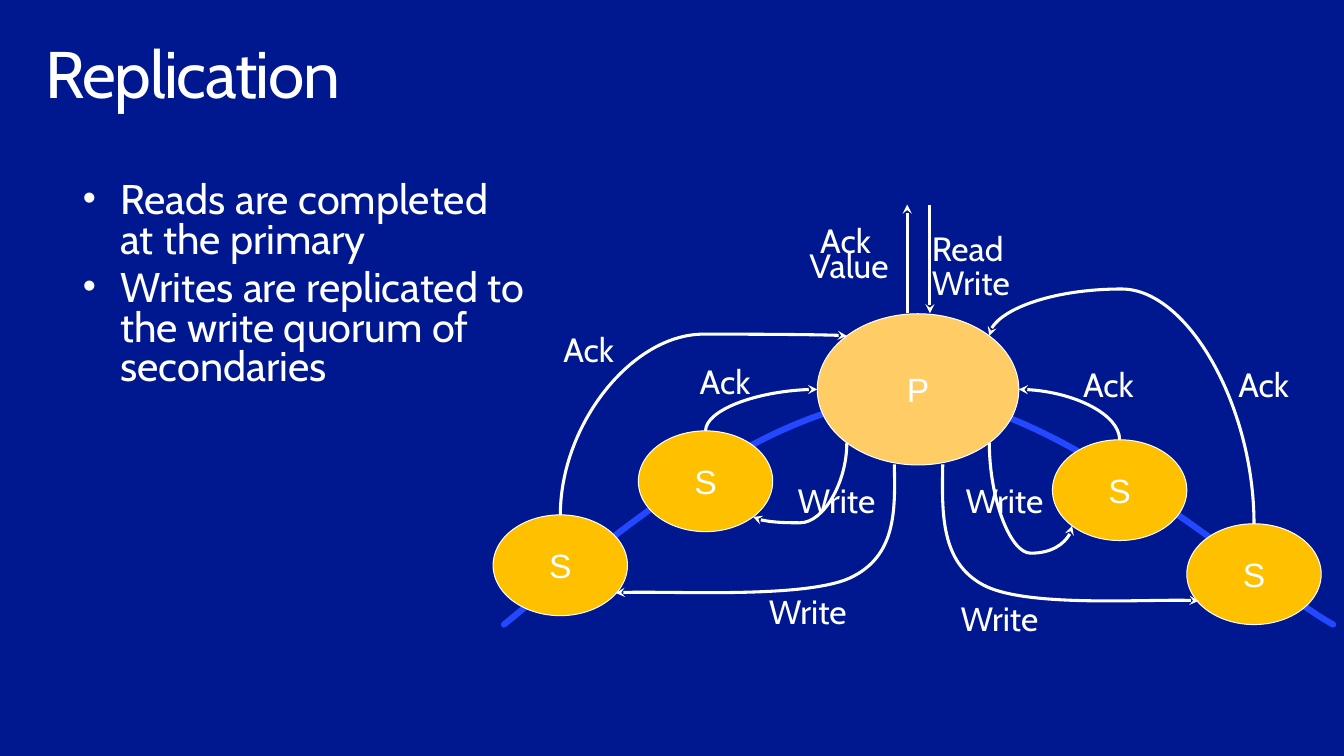
from dataclasses import dataclass
from math import cos, pi, sin

from lxml.etree import SubElement
from pptx import Presentation
from pptx.dml.color import RGBColor
from pptx.enum.shapes import MSO_CONNECTOR as Link, MSO_SHAPE as Preset
from pptx.enum.text import MSO_ANCHOR as Anchor, MSO_AUTO_SIZE as AutoSize, PP_ALIGN as Align
from pptx.oxml.ns import qn
from pptx.util import Inches, Pt

COLORS = {
    "background": "00188F",
    "ring": "2348FF",
    "primary": "FFCC66",
    "secondary": "FFC000",
    "white": "FFFFFF",
}
# Connection sites of an ellipse, counted anticlockwise from the top
TOP, TOP_LEFT, LEFT, BOTTOM_LEFT, BOTTOM, BOTTOM_RIGHT, RIGHT, TOP_RIGHT = range(8)


def color(name):
    return RGBColor.from_string(COLORS[name])


@dataclass
class Node:
    shape: object
    x: float
    y: float
    width: float
    height: float

    def site(self, index):
        """Return the point of a connection site on the ellipse, in inches."""
        angle = index * pi / 4
        return self.x - self.width / 2 * sin(angle), self.y - self.height / 2 * cos(angle)


class DiagramPage:
    """Holds the style and the current slide."""

    font = "Cabin"
    node_font = "Arial"
    label_size = 24.5
    arrow_width = 2.25

    def __init__(self, deck):
        self.page = deck.slides.add_slide(deck.slide_layouts[6])
        self.page.background.fill.solid()
        self.page.background.fill.fore_color.rgb = color("background")

    def format_text(self, para, size, font=None):
        for span in para.runs:
            span.font.size = Pt(size)
            span.font.name = font or self.font
            span.font.color.rgb = color("white")

    def text(self, content, left, top, width, height, size, margins, wrap=True):
        box = self.page.shapes.add_textbox(Inches(left), Inches(top), Inches(width), Inches(height))
        frame = box.text_frame
        frame.word_wrap = wrap
        frame.margin_left = frame.margin_right = Inches(margins[0])
        frame.margin_top = frame.margin_bottom = Inches(margins[1])
        frame.text = content
        for para in frame.paragraphs:
            self.format_text(para, size)
        return frame

    def title(self, content):
        frame = self.text(content, 0.3, 0.32, 13, 1, 48, (0.16, 0.1))
        para = frame.paragraphs[0]
        para.line_spacing = 0.9
        para.runs[0].font._element.set("spc", "-100")

    def bullets(self, items):
        frame = self.text("\n".join(items), 0.68, 1.75, 5.33, 2.33, 30.2, (0.16, 0.1))
        for para in frame.paragraphs:
            para.line_spacing = 0.8
            para.space_before = Pt(6)
            props = para._p.get_or_add_pPr()
            props.set("marL", str(Inches(0.38)))
            props.set("indent", str(-Inches(0.38)))
            SubElement(props, qn("a:buSzPct"), val="90000")
            SubElement(props, qn("a:buFont"), typeface="Arial")
            SubElement(props, qn("a:buChar"), char="•")

    def label(self, content, left, top, width):
        frame = self.text(content, left, top, width, 0.55, self.label_size, (0.14, 0.07), wrap=False)
        frame.auto_size = AutoSize.SHAPE_TO_FIT_TEXT

    def node(self, letter, x, y, width, height, fill):
        shape = self.page.shapes.add_shape(
            Preset.OVAL, Inches(x - width / 2), Inches(y - height / 2), Inches(width), Inches(height))
        shape.shadow.inherit = False
        shape.fill.solid()
        shape.fill.fore_color.rgb = color(fill)
        shape.line.color.rgb = color("white")
        shape.line.width = Pt(0.75)
        frame = shape.text_frame
        frame.word_wrap = False
        frame.vertical_anchor = Anchor.MIDDLE
        frame.margin_left = frame.margin_right = Inches(0.14)
        frame.margin_top = frame.margin_bottom = Inches(0.07)
        frame.text = letter
        frame.paragraphs[0].alignment = Align.CENTER
        self.format_text(frame.paragraphs[0], self.label_size, self.node_font)
        return Node(shape, x, y, width, height)

    def style_line(self, shape, line_color="white", width=arrow_width, arrow=True):
        shape.line.color.rgb = color(line_color)
        shape.line.width = Pt(width)
        outline = shape._element.spPr.find(qn("a:ln"))
        if arrow:
            SubElement(outline, qn("a:tailEnd"), type="stealth")
        else:
            outline.set("cap", "rnd")

    def connector(self, kind, start, end):
        link = self.page.shapes.add_connector(kind, *(Inches(value) for value in (*start, *end)))
        self.style_line(link)
        SubElement(link._element.spPr, qn("a:effectLst"))
        return link

    def curved_link(self, source, source_site, target, target_site, bend=None):
        """Glue a curve that leaves its source vertically; bend places a middle section."""
        x1, y1 = source.site(source_site)
        x2, y2 = target.site(target_site)
        mid_x, mid_y = (x1 + x2) / 2, (y1 + y2) / 2
        half_width, half_height = abs(y2 - y1) / 2, abs(x2 - x1) / 2
        link = self.connector(
            Link.CURVE,
            (mid_x - half_width, mid_y - half_height), (mid_x + half_width, mid_y + half_height))
        props = link._element.spPr
        frame = props.find(qn("a:xfrm"))
        frame.set("rot", str((270 if x2 > x1 else 90) * 60000))
        if (x2 > x1) == (y2 > y1):
            frame.set("flipH", "1")
        geometry = props.find(qn("a:prstGeom"))
        if bend is None:
            geometry.set("prst", "curvedConnector2")
        else:
            SubElement(geometry.find(qn("a:avLst")), qn("a:gd"),
                       name="adj1", fmla=f"val {round(bend * 100000)}")
        glue = link._element.find(".//" + qn("p:cNvCxnSpPr"))
        for tag, node, site in (("a:stCxn", source, source_site), ("a:endCxn", target, target_site)):
            SubElement(glue, qn(tag), id=str(node.shape.shape_id), idx=str(site))

    def bezier(self, points, **style):
        """Draw an open path of cubic curves: a start, then three points per curve."""
        start, *rest = [(Inches(x), Inches(y)) for x, y in points]
        builder = self.page.shapes.build_freeform(*start)
        builder.add_line_segments(rest, close=False)
        shape = builder.convert_to_shape()
        shape.shadow.inherit = False
        shape.fill.background()
        outline = shape._element.find(".//" + qn("a:path"))
        segments = outline.findall(qn("a:lnTo"))
        for first in range(0, len(segments), 3):
            curve = SubElement(outline, qn("a:cubicBezTo"))
            for segment in segments[first:first + 3]:
                curve.append(segment[0])
                outline.remove(segment)
        self.style_line(shape, **style)


def main():
    deck = Presentation()
    deck.slide_width, deck.slide_height = Inches(13.6), Inches(7.65)
    page = DiagramPage(deck)
    page.title("Replication")
    page.bullets(["Reads are completed \vat the primary",
                  "Writes are replicated to \vthe write quorum of secondaries"])

    page.bezier([(5.1, 6.32), (6.5, 5.17), (7.9, 4.02), (9.29, 4.02),
                 (10.69, 4.02), (12.79, 5.94), (13.49, 6.32)],
                line_color="ring", width=4.5, arrow=False)
    primary = page.node("P", 9.29, 3.94, 2.04, 1.53, "primary")
    outer_left, inner_left, inner_right, outer_right = [
        page.node("S", x, y, 1.36, 1.02, "secondary")
        for x, y in ((5.67, 5.72), (7.14, 4.87), (11.33, 4.96), (12.69, 5.81))]

    page.curved_link(inner_left, TOP, primary, LEFT)
    page.curved_link(inner_right, TOP, primary, RIGHT)
    page.curved_link(outer_left, TOP, primary, TOP_LEFT, 1.01)
    page.curved_link(outer_right, TOP, primary, TOP_RIGHT, 1.25)
    page.curved_link(primary, BOTTOM_LEFT, inner_left, BOTTOM_RIGHT, 1.08)
    page.curved_link(primary, BOTTOM_RIGHT, inner_right, BOTTOM_LEFT, 1.33)
    page.bezier([(9.05, 4.7), (9.06, 5.17), (9.07, 5.63), (8.6, 5.85),
                 (8.13, 6.06), (6.63, 5.97), (6.23, 6)])
    page.bezier([(9.54, 4.7), (9.53, 5.2), (9.52, 5.69), (9.95, 5.92),
                 (10.38, 6.15), (11.76, 6.05), (12.13, 6.08)])
    page.connector(Link.STRAIGHT, (9.41, 2.07), (9.41, 3.17))
    page.connector(Link.STRAIGHT, (9.18, 3.17), (9.18, 2.07))

    labels = {
        ("Write", 1.09): [(9.58, 5.98), (7.64, 5.91), (9.63, 4.79), (7.93, 4.79), (9.29, 2.58)],
        ("Ack", 0.82): [(10.82, 3.61), (6.94, 3.58), (12.39, 3.61), (5.56, 3.26), (8.16, 2.15)],
        ("Read", 1.03): [(9.29, 2.24)],
        ("Value", 1.09): [(8.05, 2.41)],
    }
    for (word, width), places in labels.items():
        for left, top in places:
            page.label(word, left, top, width)
    deck.save("out.pptx")


if __name__ == "__main__":
    main()
